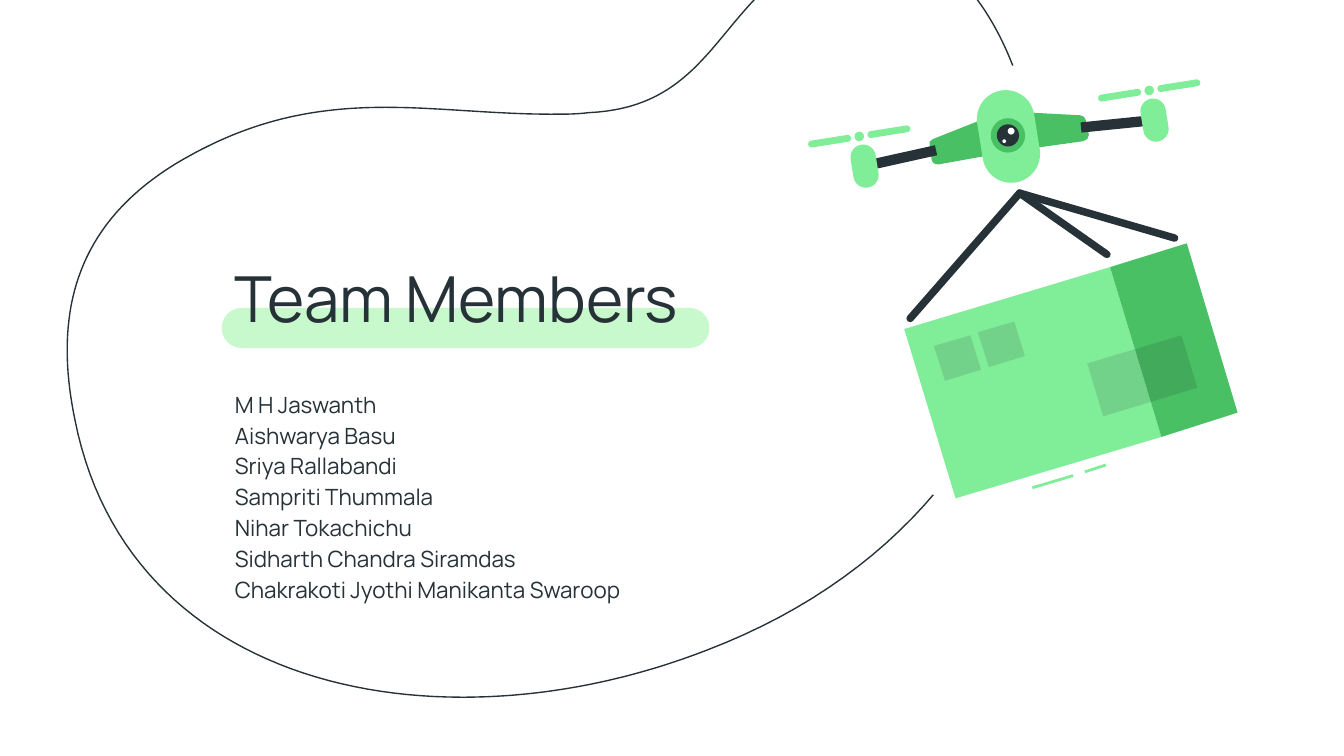
"""Build the Team Members slide with a delivery drone carrying a box."""
from lxml.etree import SubElement
from pptx import Presentation
from pptx.dml.color import RGBColor
from pptx.enum.shapes import MSO_CONNECTOR, MSO_SHAPE
from pptx.enum.text import MSO_ANCHOR, MSO_AUTO_SIZE, PP_ALIGN
from pptx.oxml.ns import qn
from pptx.util import Cm, Pt

DARK = RGBColor(0x26, 0x32, 0x38)
INK = RGBColor(0x1A, 0x23, 0x27)
LIGHT = RGBColor(0x80, 0xED, 0x99)
GREEN = RGBColor(0x48, 0xC0, 0x63)
PALE = RGBColor(0xC7, 0xF9, 0xCC)
WHITE = RGBColor(0xFF, 0xFF, 0xFF)
FONT = "Manrope"
TILT = -9

MEMBERS = ["M H Jaswanth", "Aishwarya Basu", "Sriya Rallabandi", "Sampriti Thummala",
           "Nihar Tokachichu", "Sidharth Chandra Siramdas",
           "Chakrakoti Jyothi Manikanta Swaroop"]

prs = Presentation()
prs.slide_width, prs.slide_height = Cm(25.4), Cm(14.29)
s = prs.slides.add_slide(prs.slide_layouts[0])


def add_outline(points):
    pts = [(Cm(x), Cm(y)) for x, y in points]
    fb = s.shapes.build_freeform(*pts[0])
    fb.add_line_segments(pts[1:], close=True)
    sp = fb.convert_to_shape()
    sp.shadow.inherit = False
    return sp


def add_round(cx, cy, w, h, color, rotation=0):
    kind = MSO_SHAPE.OVAL if w == h else MSO_SHAPE.ROUNDED_RECTANGLE
    sp = s.shapes.add_shape(kind, Cm(cx - w / 2), Cm(cy - h / 2), Cm(w), Cm(h))
    if w != h:
        sp.adjustments[0] = 0.5
    sp.rotation = rotation
    sp.shadow.inherit = False
    sp.fill.solid()
    sp.fill.fore_color.rgb = color
    sp.line.fill.background()


start = (16.54, -1.12)
curves = [
    ((16.15, -1.12), (15.72, -1.02), (15.27, -0.79)),
    ((13.56, 0.1), (13.44, 2.03), (11.13, 2.13)),
    ((10.9, 2.16), (10.67, 2.16), (10.44, 2.16)),
    ((9.32, 2.16), (8.31, 2.03), (7.29, 2.03)),
    ((6.1, 2.03), (4.93, 2.21), (3.63, 2.92)),
    ((1.42, 4.11), (0.99, 5.89), (1.42, 7.95)),
    ((2.13, 11.51), (5.21, 13.18), (8.74, 13.18)),
    ((10.26, 13.18), (11.84, 12.88), (13.36, 12.29)),
    ((18.21, 10.44), (20.45, 6.15), (19.35, 1.88)),
    ((19, 0.58), (18.08, -1.12), start),
]
STEPS = 40
loop = [start]
for c1, c2, end in curves:
    p0 = loop[-1]
    for i in range(1, STEPS + 1):
        t = i / STEPS
        u = 1 - t
        loop.append(tuple(u**3 * a + 3 * u * u * t * b + 3 * u * t * t * c + t**3 * d
                          for a, b, c, d in zip(p0, c1, c2, end)))
sp = add_outline(loop)
sp.fill.background()
sp.line.color.rgb = DARK
sp.line.width = Pt(0.75)

add_round(8.8, 6.2, 9.22, 0.76, PALE)

title, body = s.placeholders
for sp, top, height, lines, size, spacing, anchor in [
    (title, 4.62, 2.01, ["Team Members"], 34, 1, MSO_ANCHOR.MIDDLE),
    (body, 7.06, 4.39, MEMBERS, 12, 1.15, MSO_ANCHOR.TOP),
]:
    sp.left, sp.top, sp.width, sp.height = Cm(4.19), Cm(top), Cm(10.74), Cm(height)
    sp.element.getparent().append(sp.element)
    tf = sp.text_frame
    tf.text = "\n".join(lines)
    tf.word_wrap = True
    tf.auto_size = MSO_AUTO_SIZE.NONE
    tf.vertical_anchor = anchor
    tf.margin_left = tf.margin_right = tf.margin_top = tf.margin_bottom = Cm(0.25)
    for p in tf.paragraphs:
        p.alignment = PP_ALIGN.LEFT
        p.line_spacing = spacing
        p.space_before = Pt(0)
        p.font.name = FONT
        p.font.size = Pt(size)
        p.font.color.rgb = DARK

add_round(19.81, 5.56, 8.74, 8.74, WHITE)

box_front = [(20.98, 5.05), (17.09, 6.22), (18.06, 9.42), (21.95, 8.26)]
box_side = [(22.43, 4.6), (20.98, 5.05), (21.95, 8.26), (23.39, 7.8)]
label = [(22.33, 6.34), (20.55, 6.87), (20.85, 7.87), (22.63, 7.33)]
left_stamp = [(18.34, 6.34), (17.65, 6.54), (17.86, 7.2), (18.54, 6.99)]
right_stamp = [(x + 0.83, y - 0.26) for x, y in left_stamp]
left_wing = [(18.49, 2.29), (17.63, 2.63), (17.57, 2.68), (17.57, 2.76), (17.61, 3.03),
             (17.65, 3.09), (17.73, 3.11), (18.62, 2.95)]
right_wing = [(19.48, 2.13), (19.61, 2.79), (20.47, 2.67), (20.55, 2.63), (20.58, 2.55),
              (20.52, 2.27), (20.49, 2.21), (20.42, 2.18)]
for points, color, alpha in [
    (box_front, LIGHT, 100), (box_side, GREEN, 100), (label, INK, 13),
    (left_stamp, INK, 13), (right_stamp, INK, 13),
    (left_wing, GREEN, 100), (right_wing, GREEN, 100),
]:
    sp = add_outline(points)
    sp.line.fill.background()
    sp.fill.solid()
    sp.fill.fore_color.rgb = color
    if alpha < 100:
        clr = sp.element.spPr.find(qn("a:solidFill"))[0]
        SubElement(clr, qn("a:alpha")).set("val", str(alpha * 1000))

hook = (19.27, 3.65)
for begin, end, color, width, cap in [
    ((19.51, 9.22), (20.28, 8.99), LIGHT, 1.5, "flat"),
    ((20.5, 8.92), (20.9, 8.79), LIGHT, 1.5, "flat"),
    ((16.34, 3.14), (17.69, 2.84), DARK, 5.5, "flat"),
    ((20.43, 2.41), (21.81, 2.27), DARK, 5.5, "flat"),
    (hook, (22.2, 4.5), DARK, 4, "rnd"),
    (hook, (20.92, 4.81), DARK, 4, "rnd"),
    (hook, (17.2, 6.02), DARK, 4, "rnd"),
]:
    cn = s.shapes.add_connector(MSO_CONNECTOR.STRAIGHT, *map(Cm, begin + end))
    cn.line.color.rgb = color
    cn.line.width = Pt(width)
    spPr = cn.element.spPr
    spPr.find(qn("a:ln")).set("cap", cap)
    SubElement(spPr, qn("a:effectLst"))

for x, y in [(16.24, 2.58), (21.72, 1.71)]:
    add_round(x, y, 0.18, 0.18, LIGHT)
    for side in (-1, 1):
        add_round(x + side * 0.56, y - side * 0.09, 0.82, 0.13, LIGHT, TILT)
    add_round(x + 0.1, y + 0.56, 0.48, 0.82, LIGHT, TILT)

add_round(19.06, 2.58, 1.09, 1.76, LIGHT, TILT)
for x, y, d, color in [(19.05, 2.56, 0.65, GREEN), (19.05, 2.56, 0.42, DARK),
                       (19.11, 2.48, 0.13, WHITE), (18.98, 2.67, 0.07, WHITE)]:
    add_round(x, y, d, d, color)

prs.save("out.pptx")
